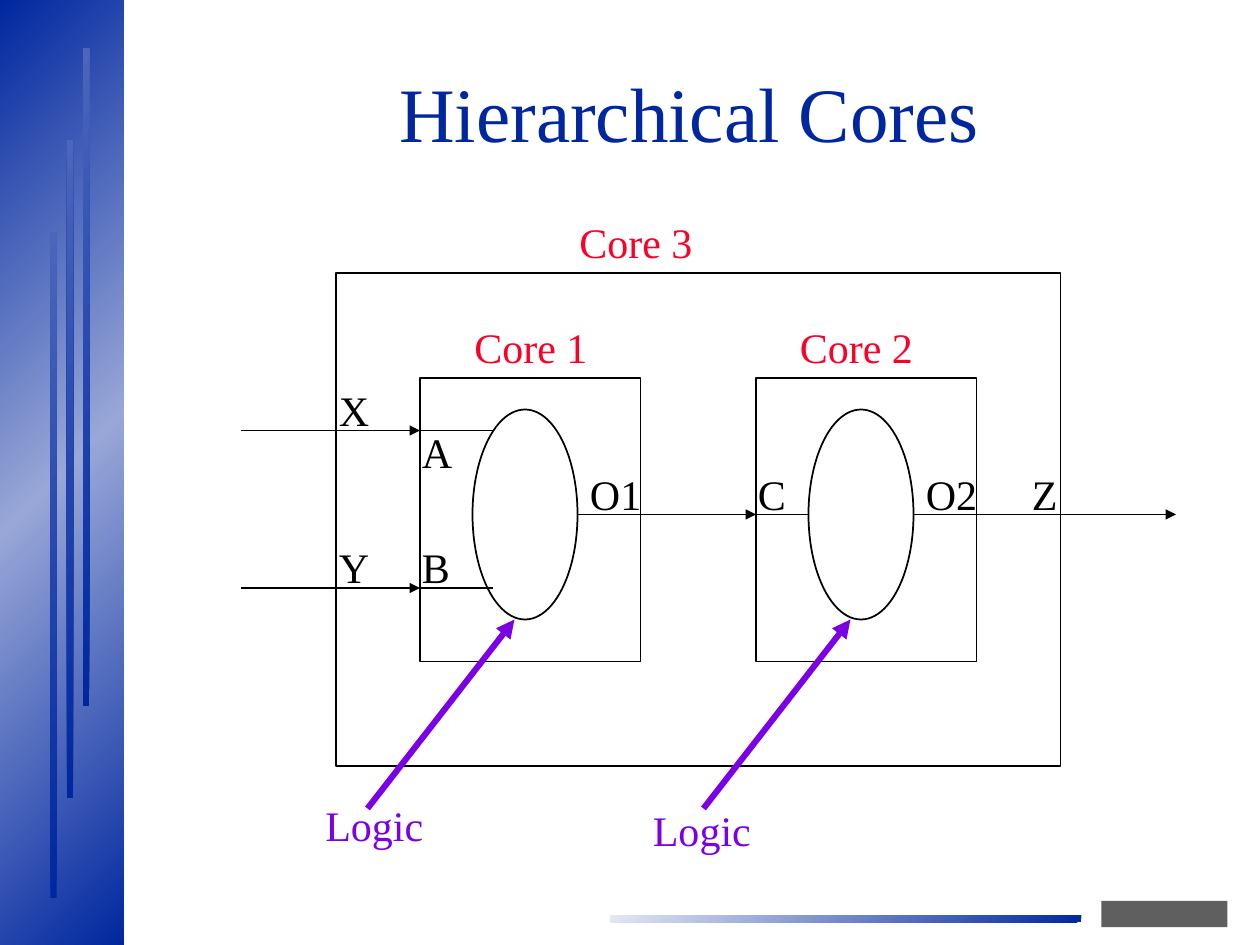
from dataclasses import dataclass

from lxml import etree
from pptx import Presentation
from pptx.dml.color import RGBColor
from pptx.enum.shapes import MSO_CONNECTOR, MSO_SHAPE
from pptx.enum.text import MSO_ANCHOR, MSO_AUTO_SIZE, PP_ALIGN
from pptx.oxml.ns import qn
from pptx.util import Inches, Pt

RECTANGLE, OVAL = MSO_SHAPE.RECTANGLE, MSO_SHAPE.OVAL
STRAIGHT = MSO_CONNECTOR.STRAIGHT
CENTER, MIDDLE = PP_ALIGN.CENTER, MSO_ANCHOR.MIDDLE
FIT_SHAPE = MSO_AUTO_SIZE.SHAPE_TO_FIT_TEXT
TITLE_ONLY = 5
CELLS_PER_INCH = 12  # grid of 120 columns and 90 rows


@dataclass(frozen=True)
class Theme:
    font: str = "Times New Roman"
    title_size: float = 44
    label_size: float = 24
    thin: float = 1
    thick: float = 3.5
    blue: str = "00279F"
    mid_blue: str = "4B66BA"
    light_blue: str = "98A7D7"
    pale_blue: str = "E4E8F4"
    red: str = "FC0128"
    purple: str = "7B00E4"
    black: str = "000000"
    gray: str = "5F5F5F"


def grid(*cells):
    return [Inches(cell / CELLS_PER_INCH) for cell in cells]


def write_text(frame, text, *, font, size, color, align=None, spacing=None):
    paragraph = frame.paragraphs[0]
    paragraph.alignment = align
    paragraph.line_spacing = spacing
    run = paragraph.add_run()
    run.text = text
    run.font.name = font
    run.font.size = Pt(size)
    run.font.color.rgb = RGBColor.from_string(color)


class SlideBuilder:
    def __init__(self, slide, theme):
        self.slide = slide
        self.theme = theme

    def title(self, text, column, row, width, height):
        title = self.slide.shapes.title
        title.left, title.top, title.width, title.height = grid(column, row, width, height)
        title.text_frame.vertical_anchor = MIDDLE
        write_text(title.text_frame, text, font=self.theme.font, size=self.theme.title_size,
                   color=self.theme.blue, align=CENTER, spacing=0.85)

    def shape(self, kind, column, row, width, height):
        shape = self.slide.shapes.add_shape(kind, *grid(column, row, width, height))
        shape.shadow.inherit = False
        return shape

    def outline(self, kind, column, row, width, height):
        shape = self.shape(kind, column, row, width, height)
        shape.fill.background()
        shape.line.color.rgb = RGBColor.from_string(self.theme.black)
        shape.line.width = Pt(self.theme.thin)

    def block(self, color, column, row, width, height):
        shape = self.shape(RECTANGLE, column, row, width, height)
        shape.line.fill.background()
        shape.fill.solid()
        shape.fill.fore_color.rgb = RGBColor.from_string(color)

    def gradient_bar(self, colors, column, row, width, height):
        """Spread the colours evenly from the lower right to the upper left."""
        shape = self.shape(RECTANGLE, column, row, width, height)
        shape.line.fill.background()
        shape.fill.gradient()
        shape.fill.gradient_angle = 135
        stops = next(shape._element.iter(qn("a:gsLst")))
        for stop in list(stops):
            stops.remove(stop)
        for index, color in enumerate(colors):
            position = 100000 * index // (len(colors) - 1)
            stop = etree.SubElement(stops, qn("a:gs"), pos=str(position))
            etree.SubElement(stop, qn("a:srgbClr"), val=color)

    def line(self, start, end, *, color=None, width=None, arrow=False):
        connector = self.slide.shapes.add_connector(STRAIGHT, *grid(*start, *end))
        connector.line.color.rgb = RGBColor.from_string(color or self.theme.black)
        connector.line.width = Pt(width or self.theme.thin)
        if arrow:
            etree.SubElement(connector.line._get_or_add_ln(), qn("a:tailEnd"), type="triangle")
        etree.SubElement(connector._element.spPr, qn("a:effectLst"))

    def label(self, text, column, row, width, *, color=None, wrap=False):
        box = self.slide.shapes.add_textbox(*grid(column, row, width, 6))
        box.text_frame.word_wrap = wrap
        box.text_frame.auto_size = FIT_SHAPE
        write_text(box.text_frame, text, font=self.theme.font,
                   size=self.theme.label_size, color=color or self.theme.black)


def draw_background(builder):
    theme = builder.theme
    # Side band with three stepped stripes
    builder.gradient_bar([theme.blue, theme.light_blue, theme.blue], 0, 0, 11.8, 90)
    for step, height in enumerate([63.4, 62.7, 62.7]):
        builder.gradient_bar([theme.blue, theme.mid_blue],
                             4.8 + 1.56 * step, 22.1 - 8.76 * step, 0.6, height)
    # Footer rule and plain mark
    builder.gradient_bar([theme.blue, theme.pale_blue], 58.1, 87.2, 44.9, 0.65)
    builder.block(theme.gray, 104.9, 85.8, 12, 2.5)


def draw_cores(builder):
    theme = builder.theme
    # Outer core
    builder.outline(RECTANGLE, 32, 26, 69, 47)
    builder.label("Core 3", 54, 20, 13.2, color=theme.red)

    # Inner cores, each with its logic: column, name and name column,
    # output, output label width and wrapping, logic label place
    cores = [
        (40, "Core 1", 44, "O1", 8, True, (29.8, 75.6)),
        (72, "Core 2", 75, "O2", 7.3, False, (61, 76)),
    ]
    for column, name, name_column, output, width, wrap, logic_place in cores:
        builder.outline(RECTANGLE, column, 36, 21, 27)
        builder.outline(OVAL, column + 5, 39, 10, 20)
        builder.label(name, name_column, 30, 13.2, color=theme.red)
        builder.label(output, column + 15, 44, width, wrap=wrap)
        builder.line((column - 5, 77), (column + 9, 59),
                     color=theme.purple, width=theme.thick, arrow=True)
        builder.label("Logic", *logic_place, 11.8, color=theme.purple)


def draw_wires(builder):
    # Inputs: wire row, outer port, inner port and its label row
    for row, outer, outer_row, inner, inner_row in [(41, "X", 36, "A", 40),
                                                    (56, "Y", 51, "B", 51)]:
        builder.line((23, row), (40, row), arrow=True)
        builder.line((40, row), (47, row))
        builder.label(outer, 31.1, outer_row, 5.3)
        builder.label(inner, 39, inner_row, 5.3)

    # Link between the cores, and the output
    for start, end, arrow in [(55, 72, True), (61, 59, False),
                              (72, 77, False), (87, 112, True)]:
        builder.line((start, 49), (end, 49), arrow=arrow)
    builder.label("C", 71, 44, 5)
    builder.label("Z", 97.1, 44, 4.8)


def main():
    presentation = Presentation()
    presentation.slide_width, presentation.slide_height = Inches(10), Inches(7.5)
    slide = presentation.slides.add_slide(presentation.slide_layouts[TITLE_ONLY])
    builder = SlideBuilder(slide, Theme())
    draw_background(builder)
    builder.title("Hierarchical Cores", 12.8, 3.8, 105.7, 15)
    draw_cores(builder)
    draw_wires(builder)
    presentation.save("out.pptx")


if __name__ == "__main__":
    main()
